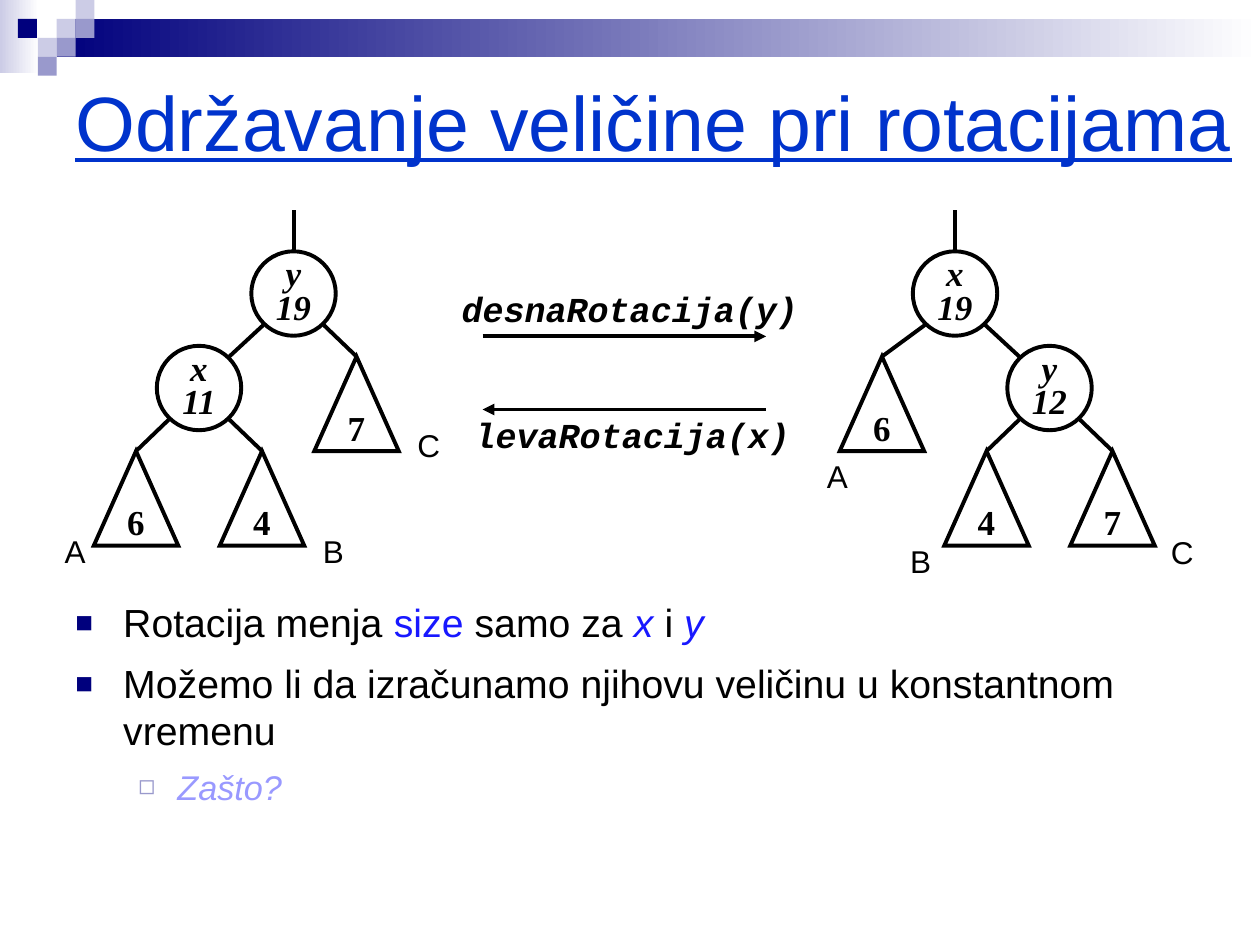
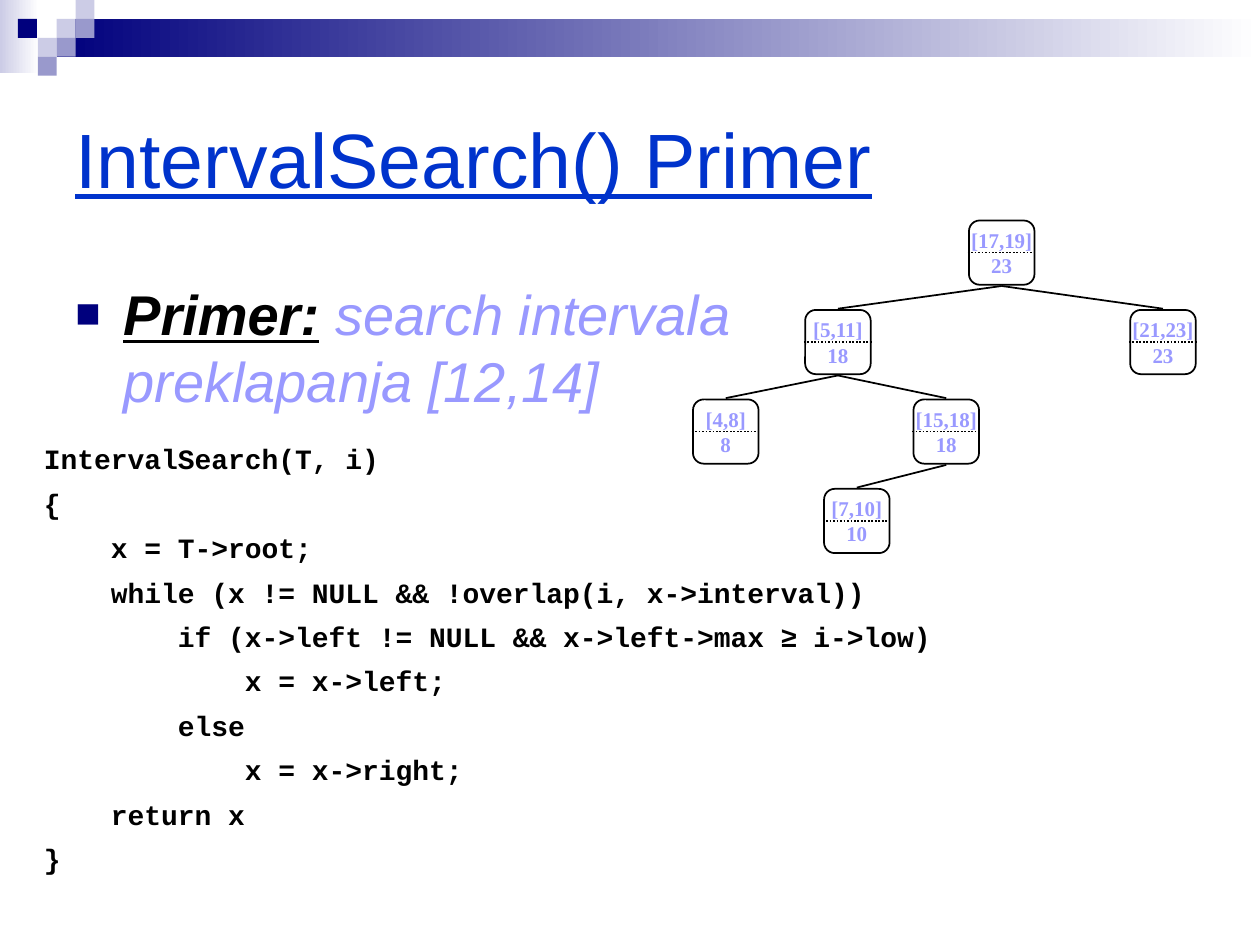
"""Builds two slides on balanced trees: rotation sizes and interval search."""
from lxml import etree
from pptx import Presentation
from pptx.dml.color import RGBColor
from pptx.enum.dml import MSO_LINE
from pptx.enum.shapes import MSO_CONNECTOR, MSO_SHAPE
from pptx.enum.text import MSO_ANCHOR, PP_ALIGN
from pptx.oxml.ns import qn
from pptx.util import Inches, Pt

RECT, OVAL = MSO_SHAPE.RECTANGLE, MSO_SHAPE.OVAL
TRIANGLE, ROUNDED = MSO_SHAPE.ISOSCELES_TRIANGLE, MSO_SHAPE.ROUNDED_RECTANGLE
STRAIGHT, DOTTED = MSO_CONNECTOR.STRAIGHT, MSO_LINE.ROUND_DOT
LEFT, CENTER = PP_ALIGN.LEFT, PP_ALIGN.CENTER
TOP, MIDDLE = MSO_ANCHOR.TOP, MSO_ANCHOR.MIDDLE

SLIDE_W, SLIDE_H = 10, 7.5
SERIF, MONO, SANS = "Times New Roman", "Courier New", "Arial"
THEME = {
    "navy": "00007D", "pale": "CCCCE6", "lilac": "9999CC", "white": "FFFFFF", "ink": "000000",
    "title": {"name": SANS, "size": 44, "color": "0033CC", "underline": True},
    "body": {"name": SANS, "size": 22.4, "color": "000000"},
    "term": {"color": "1818FF"},
    "variable": {"color": "1818FF", "italic": True},
    "question": {"size": 19.6, "color": "9999FF", "italic": True},
    "lead": {"size": 32, "bold": True, "italic": True, "underline": True},
    "query": {"size": 32, "color": "9999FF", "italic": True},
    "node": {"name": SERIF, "size": 20, "color": "000000", "bold": True, "italic": True},
    "subtree": {"name": SERIF, "size": 20, "color": "000000", "bold": True},
    "label": {"name": SANS, "size": 18, "color": "000000"},
    "rotation": {"name": MONO, "size": 20, "color": "000000", "bold": True, "italic": True},
    "interval": {"name": SERIF, "size": 12, "color": "9999FF", "bold": True},
    "code": {"name": MONO, "size": 16, "color": "000000", "bold": True},
    "symbol": {"name": SANS},
}
BULLETS = [
    {"char": "■", "color": "navy", "size": 75, "indent": 0.38, "hang": 0.38, "before": 8},
    {"char": "◻", "color": "lilac", "size": 80, "indent": 0.81, "hang": 0.31, "before": 7},
]

TILE = 0.15
TILES = [(3, 1, "pale"), (4, 0, "pale"), (4, 1, "lilac"), (2, 2, "pale"),
         (0.95, 1, "navy"), (3, 2, "lilac"), (2, 3, "lilac")]

ROTATION_TITLE = "Održavanje veličine pri rotacijama"
ROTATION_POINTS = [
    (0, [("Rotacija menja ", None), ("size ", "term"), ("samo za ", None),
         ("x ", "variable"), ("i ", None), ("y", "variable")]),
    (0, [("Možemo li da izračunamo njihovu veličinu u konstantnom vremenu", None)]),
    (1, [("Zašto?", "question")]),
]
ROTATIONS = [("desnaRotacija(y)", 5, 2.23, 2.67, "tailEnd"),
             ("levaRotacija(x)", 5.02, 3.23, 3.25, "headEnd")]


def subtree(name, size, dx, label_at):
    """Describes a triangular subtree, its shift from the parent and its label's shift."""
    return {"name": name, "size": size, "dx": dx, "label_at": label_at}


def inner(name, size, dx, *children):
    """Describes a round node with its children."""
    return {"name": name, "size": size, "dx": dx, "children": children}


ROTATION_TREES = [
    (2.33, inner("y", "19", 0,
                 inner("x", "11", -0.75,
                       subtree("A", "6", -0.5, (-0.33, 0.59)),
                       subtree("B", "4", 0.5, (0.72, 0.59))),
                 subtree("C", "7", 0.5, (0.72, 0.5)))),
    (7.58, inner("x", "19", 0,
                 subtree("A", "6", -0.58, (-0.2, 0.75)),
                 inner("y", "12", 0.75,
                       subtree("B", "4", -0.5, (-0.37, 0.67)),
                       subtree("C", "7", 0.5, (0.7, 0.6))))),
]

SEARCH_TITLE = "IntervalSearch() Primer"
SEARCH_POINTS = [(0, [("Primer:", "lead"), (" search intervala \npreklapanja [12,14]", "query")])]
INTERVALS = {
    "[17,19]": ("23", 7.95, 0, None),
    "[5,11]": ("18", 6.65, 1, "[17,19]"),
    "[21,23]": ("23", 9.23, 1, "[17,19]"),
    "[4,8]": ("8", 5.76, 2, "[5,11]"),
    "[15,18]": ("18", 7.51, 2, "[5,11]"),
    "[7,10]": ("10", 6.8, 3, "[15,18]"),
}
SEARCH_CODE = [
    "IntervalSearch(T, i)",
    "{",
    "    x = T->root;",
    "    while (x != NULL && !overlap(i, x->interval))",
    "        if (x->left != NULL && x->left->max ≥ i->low)",
    "            x = x->left;",
    "        else",
    "            x = x->right;",
    "    return x",
    "}",
]


def color(name):
    return RGBColor.from_string(THEME.get(name, name))


def add_run(paragraph, text, style):
    for index, part in enumerate(text.split("\n")):
        if index:
            paragraph.add_line_break()
        run = paragraph.add_run()
        run.text = part
        for key, value in style.items():
            if key == "color":
                run.font.color.rgb = color(value)
            else:
                setattr(run.font, key, Pt(value) if key == "size" else value)


def add_bullet(paragraph, bullet):
    props = paragraph._p.get_or_add_pPr()
    props.set("marL", str(Inches(bullet["indent"])))
    props.set("indent", str(-Inches(bullet["hang"])))
    tint = etree.SubElement(props, qn("a:buClr"))
    etree.SubElement(tint, qn("a:srgbClr"), val=THEME[bullet["color"]])
    etree.SubElement(props, qn("a:buSzPct"), val=str(bullet["size"] * 1000))
    etree.SubElement(props, qn("a:buFont"), typeface=SANS)
    etree.SubElement(props, qn("a:buChar"), char=bullet["char"])


def write(shape, paragraphs, style, align=LEFT, anchor=TOP, wrap=False, spacing=None, before=0):
    """Fills a shape with paragraphs, each a list of (text, style name) runs."""
    frame = shape.text_frame
    settings = {"word_wrap": wrap, "vertical_anchor": anchor}
    for key, value in settings.items():
        setattr(frame, key, value)
    for index, (level, runs) in enumerate(paragraphs):
        paragraph = frame.add_paragraph() if index else frame.paragraphs[0]
        gap = before
        if level is not None:
            add_bullet(paragraph, BULLETS[level])
            gap = BULLETS[level]["before"]
        paragraph.alignment = align
        if spacing:
            paragraph.line_spacing = spacing
        if index and gap:
            paragraph.space_before = Pt(gap)
        for text, name in runs:
            add_run(paragraph, text, {**THEME[style], **THEME.get(name, {})})


def plain(*lines):
    return [(None, [(line, None)]) for line in lines]


def add_text(slide, at, paragraphs, style, **layout):
    write(slide.shapes.add_textbox(*map(Inches, at)), paragraphs, style, **layout)


def add_outline(slide, kind, at, fill=None, weight=None):
    shape = slide.shapes.add_shape(kind, *map(Inches, at))
    shape.shadow.inherit = False
    if isinstance(fill, tuple):
        shape.fill.gradient()
        shape.fill.gradient_angle = 0
        for stop, name in zip(shape.fill.gradient_stops, fill):
            stop.color.rgb = color(name)
    elif fill:
        shape.fill.solid()
        shape.fill.fore_color.rgb = color(fill)
    else:
        shape.fill.background()
    if weight:
        shape.line.color.rgb = color("ink")
        shape.line.width = Pt(weight)
        etree.SubElement(shape.line._get_or_add_ln(), qn("a:miter"), lim="800000")
    else:
        shape.line.fill.background()
    return shape


def add_line(slide, start, end, weight, dash=None, arrow=None):
    line = slide.shapes.add_connector(STRAIGHT, *map(Inches, (*start, *end)))
    line.line.color.rgb = color("ink")
    line.line.width = Pt(weight)
    if dash:
        line.line.dash_style = dash
    if arrow:
        etree.SubElement(line.line._get_or_add_ln(), qn("a:" + arrow), type="triangle")
    etree.SubElement(line._element.spPr, qn("a:effectLst"))


def add_page(deck, title, title_at):
    slide = deck.slides.add_slide(deck.slide_layouts[6])
    add_outline(slide, RECT, (0, 0, 0.31, 0.58), ("pale", "white"))
    add_outline(slide, RECT, (3 * TILE, TILE, SLIDE_W - 3 * TILE, 2 * TILE), ("navy", "white"))
    for col, row, fill in TILES:
        add_outline(slide, RECT, (col * TILE, row * TILE, TILE, TILE), fill)
    add_text(slide, title_at, plain(title), "title", anchor=MIDDLE, wrap=True)
    return slide


def draw_tree(slide, node, x, y):
    """Draws a node centred at x, y and, below it, its children."""
    size, weight, rim = 0.67, 2.25, (0.24, 0.25)
    circle = add_outline(slide, OVAL, (x - size / 2, y - size / 2, size, size), "white", weight)
    write(circle, plain(node["name"], node["size"]), "node",
          align=CENTER, anchor=MIDDLE, spacing=0.8)
    for child in node["children"]:
        side = 1 if child["dx"] > 0 else -1
        child_x = x + child["dx"]
        start = (x + side * rim[0], y + rim[1])
        if "children" in child:
            child_y = y + 0.75
            end = (child_x - side * rim[0], child_y - rim[1])
            draw_tree(slide, child, child_x, child_y)
        else:
            end = (child_x, y + 0.5)
            left, top = child_x - size / 2, y + 0.5
            leaf = add_outline(slide, TRIANGLE, (left, top, size, 0.75), None, weight)
            write(leaf, plain(child["size"]), "subtree", align=CENTER, anchor=MIDDLE)
            dx, dy = child["label_at"]
            add_text(slide, (left + dx, top + dy, 0.37, 0.4), plain(child["name"]), "label")
        add_line(slide, start, end, weight)


def build_rotation(deck):
    slide = add_page(deck, ROTATION_TITLE, (0.5, 0.5, 9.5, 0.92))
    add_text(slide, (0.5, 4.7, 9, 1.71), ROTATION_POINTS, "body", wrap=True)
    for x, root in ROTATION_TREES:
        draw_tree(slide, root, x, 2.33)
        add_line(slide, (x, 2), (x, 1.67), 2.25)
    width = 3
    for name, center, top, line_y, arrow in ROTATIONS:
        add_line(slide, (3.83, line_y), (6.08, line_y), 2.25, arrow=arrow)
        add_text(slide, (center - width / 2, top, width, 0.44), plain(name), "rotation",
                 align=CENTER, anchor=MIDDLE)


def build_search(deck):
    slide = add_page(deck, SEARCH_TITLE, (0.5, 0.5, 9, 1.5))
    add_text(slide, (0.5, 2.17, 9, 4.25), SEARCH_POINTS, "body", wrap=True)
    width, height, first, pitch = 0.52, 0.51, 1.75, 0.71
    for interval, (largest, x, level, parent) in INTERVALS.items():
        top = first + level * pitch
        box = add_outline(slide, ROUNDED, (x - width / 2, top, width, height), None, 1)
        write(box, plain(interval, largest), "interval", align=CENTER, anchor=MIDDLE)
        middle = top + height / 2
        add_line(slide, (x - 0.27, middle), (x + 0.27, middle), 1, DOTTED)
        if parent:
            parent_x = INTERVALS[parent][1]
            add_line(slide, (parent_x, top - pitch + height + 0.01), (x, top - 0.01), 1)
    code = []
    for line in SEARCH_CODE:
        before, symbol, after = line.partition("≥")
        runs = [(before, None), (symbol, "symbol"), (after, None)]
        code.append((None, [run for run in runs if run[0]]))
    add_text(slide, (0.25, 3.51, 7.58, 3.49), code, "code", wrap=True, spacing=0.8, before=10)


def main():
    deck = Presentation()
    deck.slide_width, deck.slide_height = Inches(SLIDE_W), Inches(SLIDE_H)
    build_rotation(deck)
    build_search(deck)
    deck.save("out.pptx")


if __name__ == "__main__":
    main()
